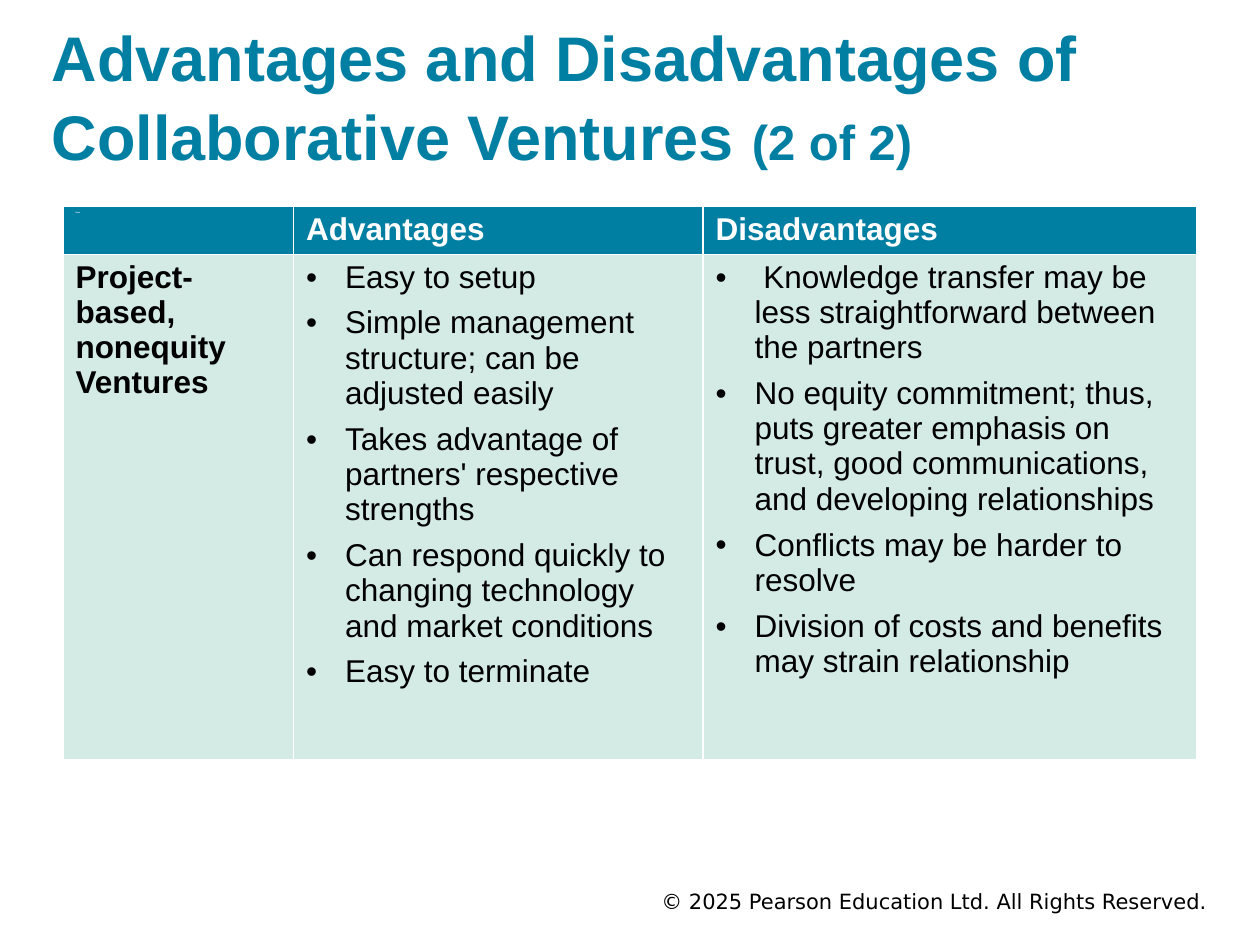
from lxml.etree import SubElement
from pptx import Presentation
from pptx.dml.color import RGBColor
from pptx.enum.text import MSO_ANCHOR as Anchor, MSO_AUTO_SIZE as Fit, PP_ALIGN as Align
from pptx.oxml.ns import qn
from pptx.util import Inches, Pt

COLORS = {"teal": "007FA3", "mint": "D4EAE4", "white": "FFFFFF", "black": "000000"}
HEADS = ["Blank", "Advantages", "Disadvantages"]
LABEL = ["Project-based, nonequity", "Ventures"]
PROS = [
    "Easy to setup",
    "Simple management structure; can be adjusted easily",
    "Takes advantage of partners' respective strengths",
    "Can respond quickly to changing technology and market conditions",
    "Easy to terminate",
]
CONS = [
    " Knowledge transfer may be less straightforward between the partners",
    "No equity commitment; thus, puts greater emphasis on trust, good "
    "communications, and developing relationships",
    "Conflicts may be harder to resolve",
    "Division of costs and benefits may strain relationship",
]


def color(name):
    return RGBColor.from_string(COLORS[name])


def add_run(para, text, size=18, tint="black", bold=False, face="Arial"):
    run = para.add_run()
    run.text = text
    font = run.font
    font.size, font.bold, font.name = Pt(size), bold, face
    font.color.rgb = color(tint)


def add_bullet(para):
    props = para._p.get_or_add_pPr()
    props.set("marL", str(Inches(0.31)))
    props.set("indent", str(-Inches(0.31)))
    SubElement(props, qn("a:buFont"), typeface="Arial")
    SubElement(props, qn("a:buChar"), char="•")


def place(shape, left, top, width, height):
    shape.left, shape.top = Inches(left), Inches(top)
    shape.width, shape.height = Inches(width), Inches(height)


def set_frame(frame):
    frame.word_wrap = True
    frame.auto_size = Fit.NONE
    frame.vertical_anchor = Anchor.MIDDLE
    frame.margin_left = frame.margin_right = 0
    frame.margin_top = frame.margin_bottom = Inches(0.02)


def fill_cell(cell, lines, fill, bullets=False, **style):
    cell.fill.solid()
    cell.fill.fore_color.rgb = color(fill)
    cell.margin_left = cell.margin_right = Inches(0.1)
    cell.margin_top = cell.margin_bottom = Inches(0.04)
    frame = cell.text_frame
    for i, line in enumerate(lines):
        para = frame.add_paragraph() if i else frame.paragraphs[0]
        if bullets:
            add_bullet(para)
            if i:
                para.space_before = Pt(6)
        add_run(para, line, **style)


def add_title(slide):
    title = slide.shapes.title
    place(title, 0.41, 0.12, 9.12, 1.25)
    set_frame(title.text_frame)
    para = title.text_frame.paragraphs[0]
    para.alignment = Align.LEFT
    para.line_spacing = 1.05
    add_run(para, "Advantages and Disadvantages of Collaborative Ventures ",
            size=36, tint="teal", bold=True)
    add_run(para, "(2 of 2)", size=28, tint="teal", bold=True)


def add_grid(slide):
    frame = slide.shapes.add_table(
        2, 3, Inches(0.5), Inches(1.64), Inches(9), Inches(4.39))
    table = frame.table
    for col, width in zip(table.columns, [1.83, 3.25, 3.92]):
        col.width = Inches(width)
    for row, height in zip(table.rows, [0.38, 4.01]):
        row.height = Inches(height)
    for i, head in enumerate(HEADS):
        fill_cell(table.cell(0, i), [head], "teal",
                  size=18 if i else 1, tint="white", bold=True)
    fill_cell(table.cell(1, 0), LABEL, "mint", bold=True)
    for i, points in enumerate([PROS, CONS], 1):
        fill_cell(table.cell(1, i), points, "mint", bullets=True)


def add_footer(slide):
    box = slide.shapes.add_textbox(0, 0, 0, 0)
    place(box, 4.07, 7.03, 5.51, 0.24)
    set_frame(box.text_frame)
    para = box.text_frame.paragraphs[0]
    para.alignment = Align.RIGHT
    add_run(para, "© 2025 Pearson Education Ltd. All Rights Reserved.",
            size=12, face="DejaVu Sans")


def main():
    deck = Presentation()
    deck.slide_width, deck.slide_height = Inches(10), Inches(7.5)
    slide = deck.slides.add_slide(deck.slide_layouts[5])
    add_footer(slide)
    add_title(slide)
    add_grid(slide)
    deck.save("out.pptx")


if __name__ == "__main__":
    main()
